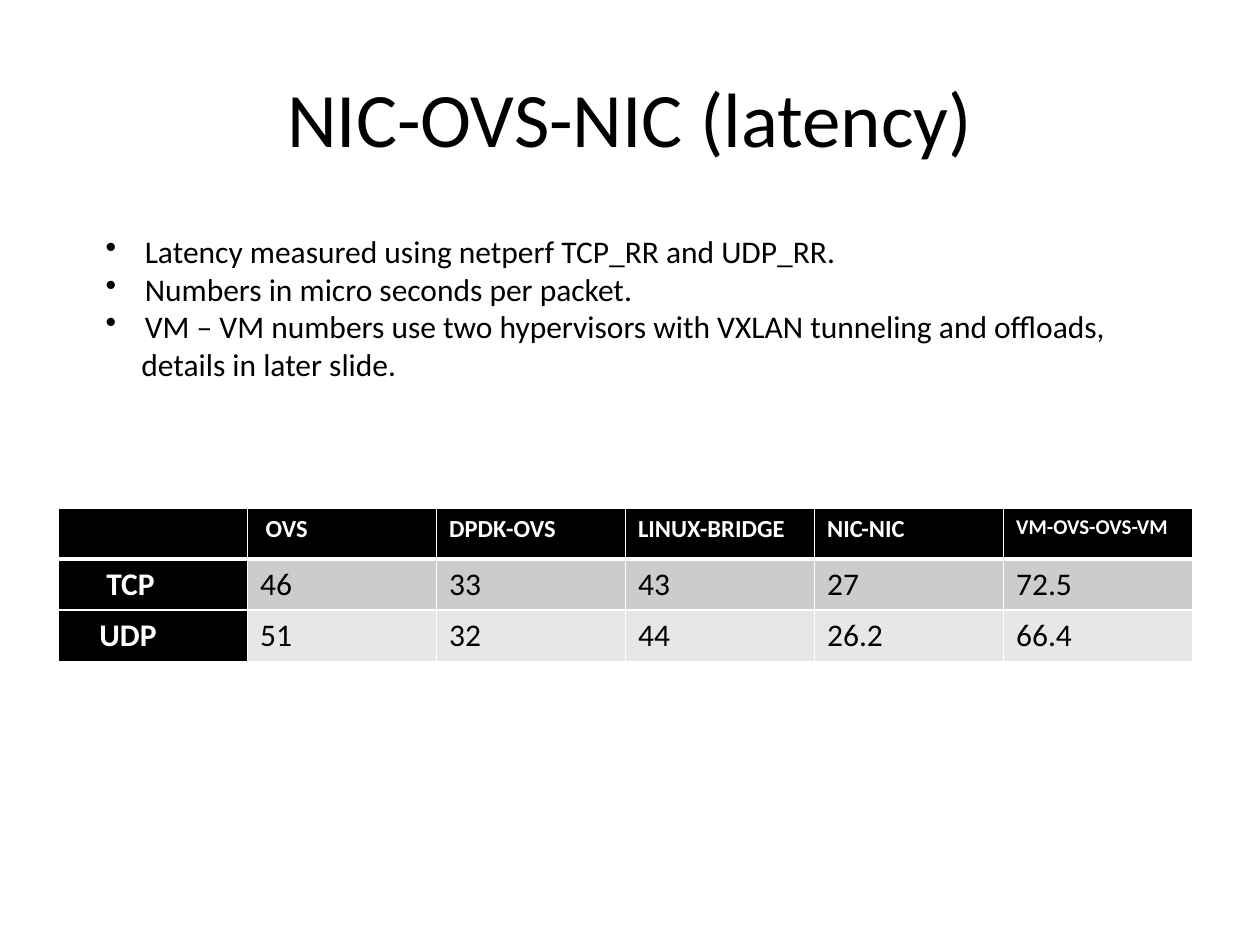
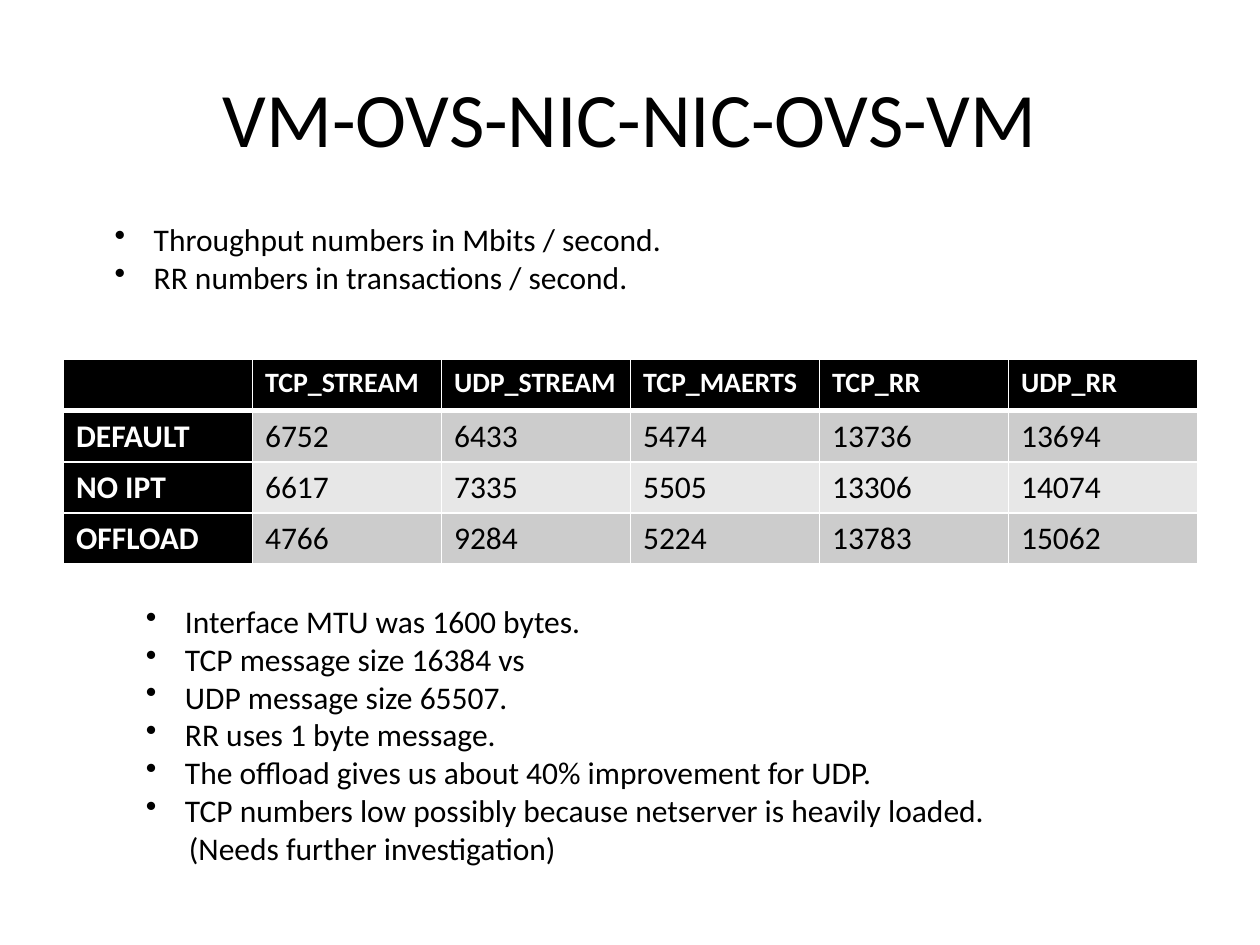
"""Build two slides on virtual switch latency and throughput."""
import dataclasses

import lxml.etree
import pptx
import pptx.dml.color
import pptx.enum.text
import pptx.oxml.ns
import pptx.util

Cm = pptx.util.Cm
Pt = pptx.util.Pt
qn = pptx.oxml.ns.qn


@dataclasses.dataclass(frozen=True)
class Theme:
    font: str = "Calibri"
    ink: str = "000000"
    paper: str = "FFFFFF"
    bands: tuple = ("CCCCCC", "E7E7E7")
    title_size: int = 44
    body_size: int = 18
    hanging: float = 0.79
    column_width: float = 3.81
    row_height: float = 1.03
    rule: int = 1
    header_rule: int = 3


theme = Theme()


def write(paragraph, text, size=theme.body_size, color=theme.ink, bold=False,
          align=pptx.enum.text.PP_ALIGN.LEFT, indent=0, bullet=False):
    paragraph.alignment = align
    properties = paragraph._p.get_or_add_pPr()
    properties.set("marL", str(Cm(theme.hanging if bullet else indent)))
    properties.set("indent", str(-Cm(theme.hanging) if bullet else 0))
    if bullet:
        lxml.etree.SubElement(properties, qn("a:buChar"), char="•")
    run = paragraph.add_run()
    run.text = text
    run.font.name = theme.font
    run.font.size = Pt(size)
    run.font.bold = bold
    run.font.color.rgb = pptx.dml.color.RGBColor.from_string(color)


def add_borders(cell, **widths):
    properties = cell._tc.get_or_add_tcPr()
    for side, width in widths.items():
        line = lxml.etree.SubElement(properties, qn(f"a:ln{side}"), w=str(Pt(width)))
        fill = lxml.etree.SubElement(line, qn("a:solidFill"))
        lxml.etree.SubElement(fill, qn("a:srgbClr"), val=theme.paper)


slides = [
    {
        "title": "NIC-OVS-NIC (latency)",
        "table_at": (1.18, 10.24),
        "header_size": 14,
        "size_overrides": {"VM-OVS-OVS-VM": 12},
        "label_indents": {"OVS": 0.11, "TCP": 0.71, "UDP": 0.57},
        "rows": [
            ["", "OVS", "DPDK-OVS", "LINUX-BRIDGE", "NIC-NIC", "VM-OVS-OVS-VM"],
            ["TCP", "46", "33", "43", "27", "72.5"],
            ["UDP", "51", "32", "44", "26.2", "66.4"],
        ],
        "notes": [
            {
                "box": (1.88, 4.55, 20.88, 3.33),
                "points": [
                    "Latency measured using netperf TCP_RR and UDP_RR.",
                    "Numbers in micro seconds per packet.",
                    "VM – VM numbers use two hypervisors with VXLAN tunneling and offloads,",
                ],
                "continuation": ("details in later slide.", 0.72),
            },
        ],
    },
    {
        "title": "VM-OVS-NIC-NIC-OVS-VM",
        "table_at": (1.28, 7.25),
        "header_size": 16,
        "size_overrides": {},
        "label_indents": {},
        "rows": [
            ["", "TCP_STREAM", "UDP_STREAM", "TCP_MAERTS", "TCP_RR", "UDP_RR"],
            ["DEFAULT", "6752", "6433", "5474", "13736", "13694"],
            ["NO IPT", "6617", "7335", "5505", "13306", "14074"],
            ["OFFLOAD", "4766", "9284", "5224", "13783", "15062"],
        ],
        "notes": [
            {
                "box": (2.06, 4.32, 11.65, 1.8),
                "points": [
                    "Throughput numbers in Mbits / second.",
                    "RR numbers in transactions / second.",
                ],
            },
            {
                "box": (2.69, 12.01, 17.58, 5.64),
                "points": [
                    "Interface MTU was 1600 bytes.",
                    "TCP message size 16384 vs",
                    "UDP message size 65507.",
                    "RR uses 1 byte message.",
                    "The offload gives us about 40% improvement for UDP.",
                    "TCP numbers low possibly because netserver is heavily loaded.",
                ],
                "continuation": ("(Needs further investigation)", 0.87),
            },
        ],
    },
]

deck = pptx.Presentation()
deck.slide_width = Cm(25.4)
deck.slide_height = Cm(19.05)

for content in slides:
    slide = deck.slides.add_slide(deck.slide_layouts[6])

    title = slide.shapes.add_textbox(Cm(1.27), Cm(0.76), Cm(22.86), Cm(3.18)).text_frame
    title.word_wrap = True
    title.vertical_anchor = pptx.enum.text.MSO_ANCHOR.MIDDLE
    write(title.paragraphs[0], content["title"], size=theme.title_size,
          align=pptx.enum.text.PP_ALIGN.CENTER)

    rows = content["rows"]
    left, top = content["table_at"]
    results = slide.shapes.add_table(
        len(rows), len(rows[0]), Cm(left), Cm(top),
        Cm(theme.column_width * len(rows[0])), Cm(theme.row_height * len(rows))).table
    results.horz_banding = False
    for column in results.columns:
        column.width = Cm(theme.column_width)
    for r, values in enumerate(rows):
        results.rows[r].height = Cm(theme.row_height)
        for c, value in enumerate(values):
            cell = results.cell(r, c)
            is_label = r == 0 or c == 0
            add_borders(cell, L=theme.rule, R=theme.rule,
                        T=theme.header_rule if r == 1 else theme.rule,
                        B=theme.header_rule if r == 0 else theme.rule)
            cell.fill.solid()
            cell.fill.fore_color.rgb = pptx.dml.color.RGBColor.from_string(
                theme.ink if is_label else theme.bands[(r - 1) % 2])
            if value:
                size = content["header_size"] if r == 0 else theme.body_size
                write(cell.text_frame.paragraphs[0], value,
                      size=content["size_overrides"].get(value, size),
                      color=theme.paper if is_label else theme.ink, bold=is_label,
                      indent=content["label_indents"].get(value, 0))

    for note in content["notes"]:
        remarks = slide.shapes.add_textbox(*map(Cm, note["box"])).text_frame
        remarks.word_wrap = True
        for i, point in enumerate(note["points"]):
            write(remarks.add_paragraph() if i else remarks.paragraphs[0], point, bullet=True)
        if "continuation" in note:
            text, indent = note["continuation"]
            write(remarks.add_paragraph(), text, indent=indent)

deck.save("out.pptx")
